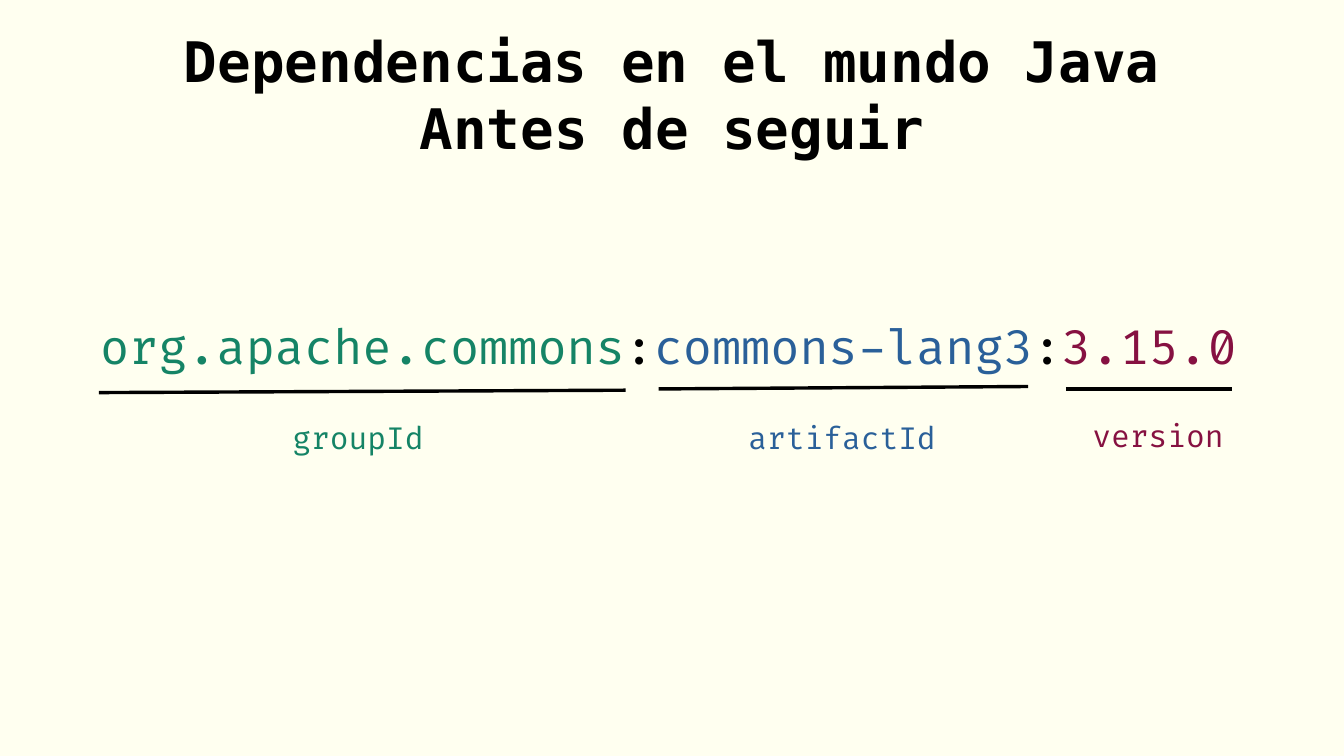
from pptx import Presentation
from pptx.dml.color import RGBColor
from pptx.enum import shapes, text
from pptx.oxml import ns
from pptx.util import Inches, Pt
from lxml import etree

BLACK, GREEN, BLUE, WINE = "000000", "158466", "2A6099", "861141"


def colour(hex_code):
    return RGBColor.from_string(hex_code)


class DependencyPage:
    """Holds the text style and the page being built."""

    code_font = "Fira Code"
    title_font = "DejaVu Sans Mono"

    def __init__(self, deck):
        self.page = deck.slides.add_slide(deck.slide_layouts[5])
        fill = self.page.background.fill
        fill.solid()
        fill.fore_color.rgb = colour("FFFFF0")

    def add_spans(self, frame, spans, margins, **font_format):
        """Add centred (words, colour) spans to a frame's first paragraph."""
        frame_format = {
            "word_wrap": True,
            "auto_size": text.MSO_AUTO_SIZE.NONE,
            "vertical_anchor": text.MSO_ANCHOR.MIDDLE,
            "margin_left": Inches(margins[0]),
            "margin_right": Inches(margins[0]),
            "margin_top": Inches(margins[1]),
            "margin_bottom": Inches(margins[1]),
        }
        for name, value in frame_format.items():
            setattr(frame, name, value)
        para = frame.paragraphs[0]
        para.alignment = text.PP_ALIGN.CENTER
        for words, hex_code in spans:
            span = para.add_run()
            span.text = words
            span.font.color.rgb = colour(hex_code)
            for name, value in font_format.items():
                setattr(span.font, name, value)

    def title(self, lines, left, top, width, height):
        box = self.page.shapes.title
        place = {"left": left, "top": top, "width": width, "height": height}
        for name, value in place.items():
            setattr(box, name, Inches(value))
        for number, line in enumerate(lines):
            if number:
                box.text_frame.paragraphs[0].add_line_break()
            self.add_spans(box.text_frame, [(line, BLACK)], (0, 0),
                           name=self.title_font, size=Pt(33), bold=True)

    def code(self, spans, size, left, top, width, height):
        box = self.page.shapes.add_textbox(
            Inches(left), Inches(top), Inches(width), Inches(height))
        self.add_spans(box.text_frame, spans, (0.1, 0.05),
                       name=self.code_font, size=Pt(size))

    def underline(self, start, end):
        rule = self.page.shapes.add_connector(
            shapes.MSO_CONNECTOR.STRAIGHT,
            *(Inches(value) for value in (*start, *end)))
        rule.line.color.rgb = colour(BLACK)
        rule.line.width = Pt(0)
        etree.SubElement(rule._element.spPr, ns.qn("a:effectLst"))


def main():
    deck = Presentation()
    deck.slide_width, deck.slide_height = Inches(11.02), Inches(6.2)
    page = DependencyPage(deck)

    page.title(["Dependencias en el mundo Java", "Antes de seguir"],
               0.55, 0.23, 9.92, 1.07)
    page.code([("org.apache.commons", GREEN), (":", BLACK),
               ("commons-lang3", BLUE), (":", BLACK), ("3.15.0", WINE)],
              28, 0.44, 2.17, 10.08, 1.32)

    parts = [
        ("groupId", GREEN, (0.81, 3.22), (5.13, 3.2), (1.34, 3.3)),
        ("artifactId", BLUE, (5.4, 3.19), (8.43, 3.17), (5.31, 3.3)),
        ("version", WINE, (8.74, 3.19), (10.1, 3.19), (7.9, 3.28)),
    ]
    for label, hex_code, start, end, corner in parts:
        page.underline(start, end)
        page.code([(label, hex_code)], 18, *corner, 3.19, 0.58)

    deck.save("out.pptx")


if __name__ == "__main__":
    main()
